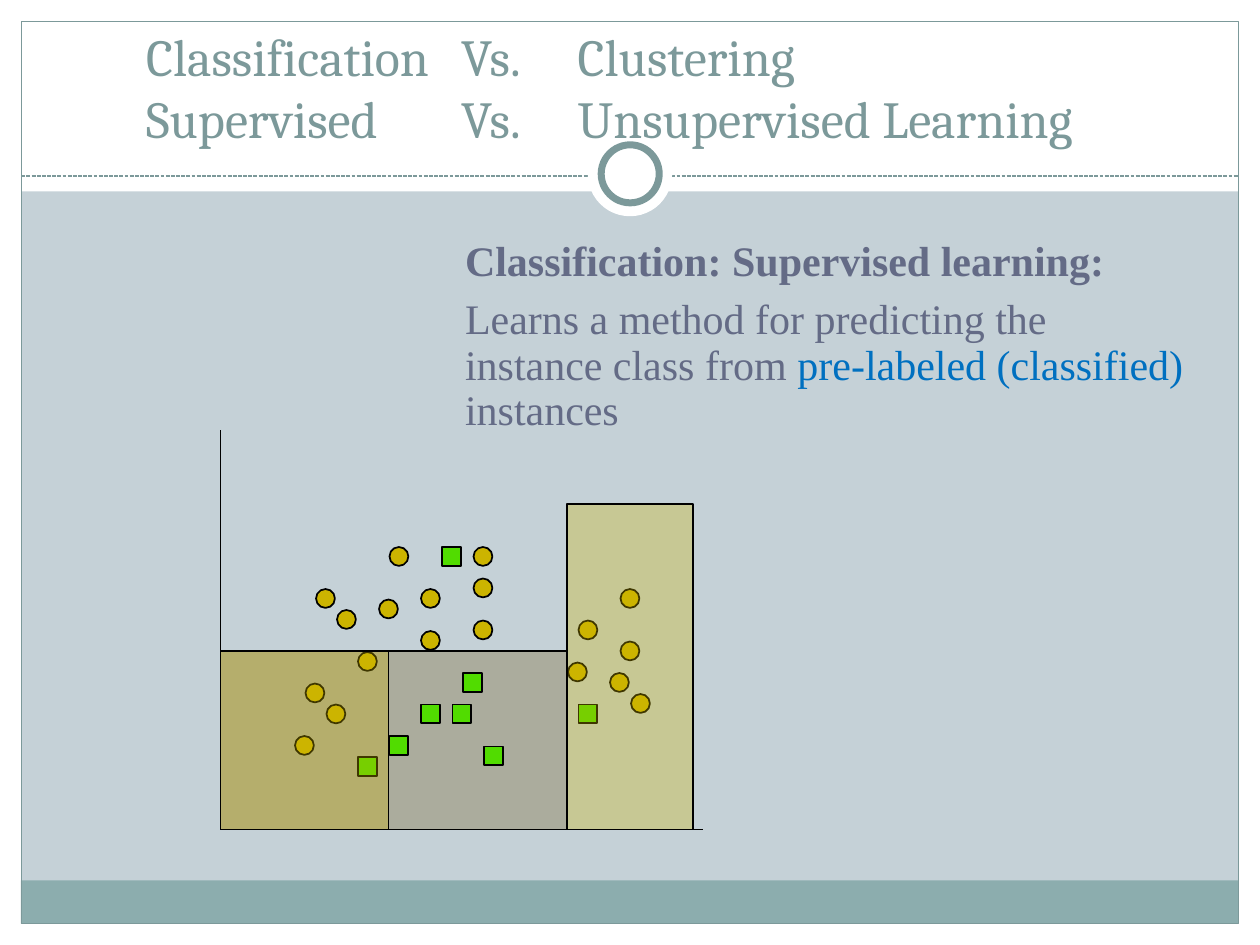
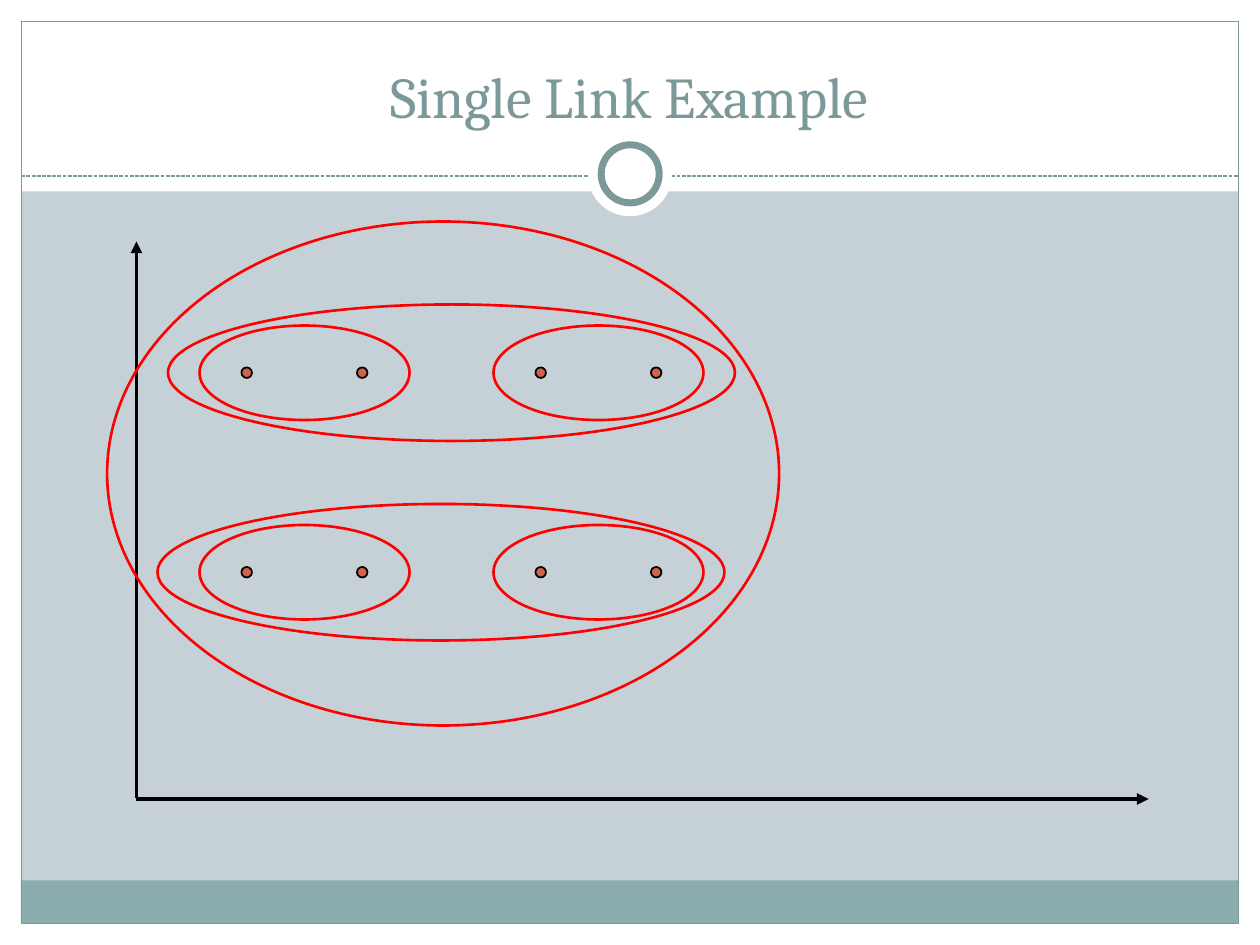
from lxml import etree
from pptx import Presentation
from pptx.dml.color import RGBColor
from pptx.enum.dml import MSO_LINE
from pptx.enum.shapes import MSO_CONNECTOR, MSO_SHAPE
from pptx.enum.text import MSO_ANCHOR, MSO_AUTO_SIZE, PP_ALIGN
from pptx.oxml import parse_xml
from pptx.oxml.ns import nsdecls, qn
from pptx.util import Cm, Pt

BACKGROUND, WHITE, BLACK = "C5D1D7", "FFFFFF", "000000"
TEAL, FOOTER = "7C999A", "8CADAE"
BODY_TEXT, HIGHLIGHT = "646B86", "0070C0"
GOLD, GREEN, BROWN = "CCB400", "51DC00", "694F07"
POINT, CLUSTER = "D16349", "FF0000"
TITLE_FONT, BODY_FONT = "Cambria", "Times New Roman"
GRID = 2.54 / 12
MARKER = 0.38

CIRCLES = [
    (31, 57), (33, 59), (37, 58), (41, 57), (30, 66), (46, 53), (35, 63),
    (41, 61), (46, 60), (32, 68), (29, 71), (38, 53), (46, 56), (60, 57),
    (56, 60), (55, 64), (59, 65), (61, 67), (60, 62),
]
SQUARES = [
    (41, 68), (45, 65), (44, 68), (47, 72), (56, 68), (38, 71), (35, 73), (43, 53),
]


def rgb(color):
    """Turn a hex string into a colour."""
    return RGBColor.from_string(color)


def cells(*counts):
    """Turn counts of grid cells into centimetres."""
    return [count * GRID for count in counts]


def add_figure(slide, kind, box, fill=None, line=None, width=1, opacity=None):
    """Add a preset shape; box is left, top, width, height in centimetres."""
    shape = slide.shapes.add_shape(kind, *map(Cm, box))
    shape.shadow.inherit = False
    if fill:
        shape.fill.solid()
        shape.fill.fore_color.rgb = rgb(fill)
    else:
        shape.fill.background()
    if opacity:
        color = shape.element.spPr.find(qn("a:solidFill"))[0]
        etree.SubElement(color, qn("a:alpha"), val=str(opacity * 1000))
    if line:
        shape.line.color.rgb = rgb(line)
        shape.line.width = Pt(width)
    else:
        shape.line.fill.background()
    return shape


def add_line(slide, ends, color, width, dash=None, arrow=False):
    """Add a straight line; ends is x1, y1, x2, y2 in centimetres."""
    connector = slide.shapes.add_connector(MSO_CONNECTOR.STRAIGHT, *map(Cm, ends))
    connector.line.color.rgb = rgb(color)
    connector.line.width = Pt(width)
    if dash:
        connector.line.dash_style = dash
    if arrow:
        line = connector.line._get_or_add_ln()
        etree.SubElement(line, qn("a:tailEnd"), type="triangle")
    etree.SubElement(connector.element.spPr, qn("a:effectLst"))
    return connector


def add_run(paragraph, text, font, size, color, bold=False):
    """Add one formatted run."""
    run = paragraph.add_run()
    run.text = text
    run.font.name = font
    run.font.size = Pt(size)
    run.font.bold = bold
    run.font.color.rgb = rgb(color)


def place(shape, box, anchor):
    """Move a placeholder and settle its text frame."""
    shape.left, shape.top, shape.width, shape.height = map(Cm, box)
    frame = shape.text_frame
    frame.word_wrap = True
    frame.auto_size = MSO_AUTO_SIZE.NONE
    frame.vertical_anchor = anchor
    return frame


def add_title(slide, lines, box, size, alignment, tabs=()):
    """Fill the title, one line after another, with optional tab stops."""
    paragraph = place(slide.shapes.title, box, MSO_ANCHOR.BOTTOM).paragraphs[0]
    paragraph.alignment = alignment
    if tabs:
        stops = etree.SubElement(paragraph._p.get_or_add_pPr(), qn("a:tabLst"))
        for position in tabs:
            etree.SubElement(stops, qn("a:tab"), pos=str(Cm(position)), algn="l")
    for index, line in enumerate(lines):
        if index:
            paragraph.add_line_break()
        add_run(paragraph, line, TITLE_FONT, size, TEAL)


def add_body(slide, paragraphs, box, size):
    """Fill the body with unbulleted paragraphs of (text, colour, bold) runs."""
    frame = place(slide.placeholders[1], box, MSO_ANCHOR.TOP)
    for index, runs in enumerate(paragraphs):
        paragraph = frame.add_paragraph() if index else frame.paragraphs[0]
        properties = paragraph._p.get_or_add_pPr()
        properties.set("marL", "0")
        properties.set("indent", "0")
        properties.append(parse_xml(f"<a:buNone {nsdecls('a')}/>"))
        paragraph.line_spacing = 0.9
        paragraph.space_before = Pt(7.2 if index else 0)
        for text, color, bold in runs:
            add_run(paragraph, text, BODY_FONT, size, color, bold)


def decorate_master(presentation, slide):
    """Draw the frame, bands and ring, and move them to the slide master."""
    master = presentation.slide_master
    master.background.fill.solid()
    master.background.fill.fore_color.rgb = rgb(BACKGROUND)
    rectangle, oval = MSO_SHAPE.RECTANGLE, MSO_SHAPE.OVAL
    margins = [(0, 18.62, 25.4, 0.43), (0, 0, 25.4, 3.86),
               (0, 0, 0.43, 19.05), (24.97, 0, 0.43, 19.05)]
    parts = [add_figure(slide, rectangle, box, WHITE) for box in margins]
    parts += [
        add_figure(slide, rectangle, (0.42, 17.75, 24.54, 0.87), FOOTER),
        add_figure(slide, rectangle, (0.43, 0.43, 24.54, 18.19), None, TEAL, 0.75),
        add_line(slide, (0.43, 3.55, 24.97, 3.55), TEAL, 0.75, MSO_LINE.SQUARE_DOT),
        add_figure(slide, oval, (11.85, 2.66, 1.7, 1.7), WHITE),
        add_figure(slide, oval, (12.12, 2.92, 1.17, 1.17), WHITE, TEAL, 4),
    ]
    for number, part in enumerate(parts, start=100):
        part.element.xpath(".//p:cNvPr")[0].set("id", str(number))
        master.shapes.element.append(part.element)


def add_markers(slide, kind, centres, color):
    """Add equal markers centred on grid points."""
    for centre in centres:
        left, top = (value - MARKER / 2 for value in cells(*centre))
        add_figure(slide, kind, (left, top, MARKER, MARKER), color, BLACK)


def add_region(slide, box, color, opacity):
    """Add a see-through class region."""
    add_figure(slide, MSO_SHAPE.RECTANGLE, cells(*box), color, BLACK, 0.75, opacity)


def build_classification(slide):
    """Build the slide on supervised learning."""
    add_title(slide, ["Classification\tVs.\tClustering",
                      "Supervised\tVs.\tUnsupervised Learning"],
              (2.69, 1.02, 21.87, 2.11), 29.7, PP_ALIGN.LEFT, (6.35, 8.7))
    add_region(slide, (21, 62, 33, 17), BROWN, 28)
    add_line(slide, cells(21, 41, 21, 79), BLACK, 1)
    add_line(slide, cells(21, 79, 67, 79), BLACK, 1)
    add_markers(slide, MSO_SHAPE.RECTANGLE, SQUARES, GREEN)
    add_markers(slide, MSO_SHAPE.OVAL, CIRCLES, GOLD)
    for box in [(54, 48, 12, 31), (21, 62, 16, 17)]:
        add_region(slide, box, GOLD, 31)
    add_body(slide, [
        [("Classification: Supervised learning:", BODY_TEXT, True)],
        [("Learns a method for predicting the instance class from ", BODY_TEXT, False),
         ("pre-labeled (classified)", HIGHLIGHT, False),
         (" instances", BODY_TEXT, False)],
    ], (9.12, 4.72, 15.01, 4.27), 24)


def build_single_link(slide):
    """Build the slide with nested clusters."""
    add_title(slide, ["Single Link Example"], (0.84, 0.64, 23.7, 2.11), 33,
              PP_ALIGN.CENTER)
    add_line(slide, cells(13, 76, 13, 23), BLACK, 2.25, arrow=True)
    add_line(slide, cells(13, 76.1, 109.4, 76.1), BLACK, 2.25, arrow=True)
    for top in (35, 54):
        for left in (23, 34, 51, 62):
            add_figure(slide, MSO_SHAPE.OVAL, cells(left, top, 1, 1), POINT, BLACK)
    pairs = [(left, top, 20, 9) for top in (31, 50) for left in (19, 47)]
    rows = [(16, 29, 54, 13), (15, 48, 54, 13)]
    for box in pairs + rows + [(10.2, 21.1, 64, 48)]:
        add_figure(slide, MSO_SHAPE.OVAL, cells(*box), None, CLUSTER, 1.5)


def main():
    """Build and save the presentation."""
    presentation = Presentation()
    presentation.slide_width, presentation.slide_height = Cm(25.4), Cm(19.05)
    layouts = presentation.slide_layouts
    classification = presentation.slides.add_slide(layouts[1])
    decorate_master(presentation, classification)
    build_classification(classification)
    build_single_link(presentation.slides.add_slide(layouts[5]))
    presentation.save("out.pptx")


if __name__ == "__main__":
    main()
